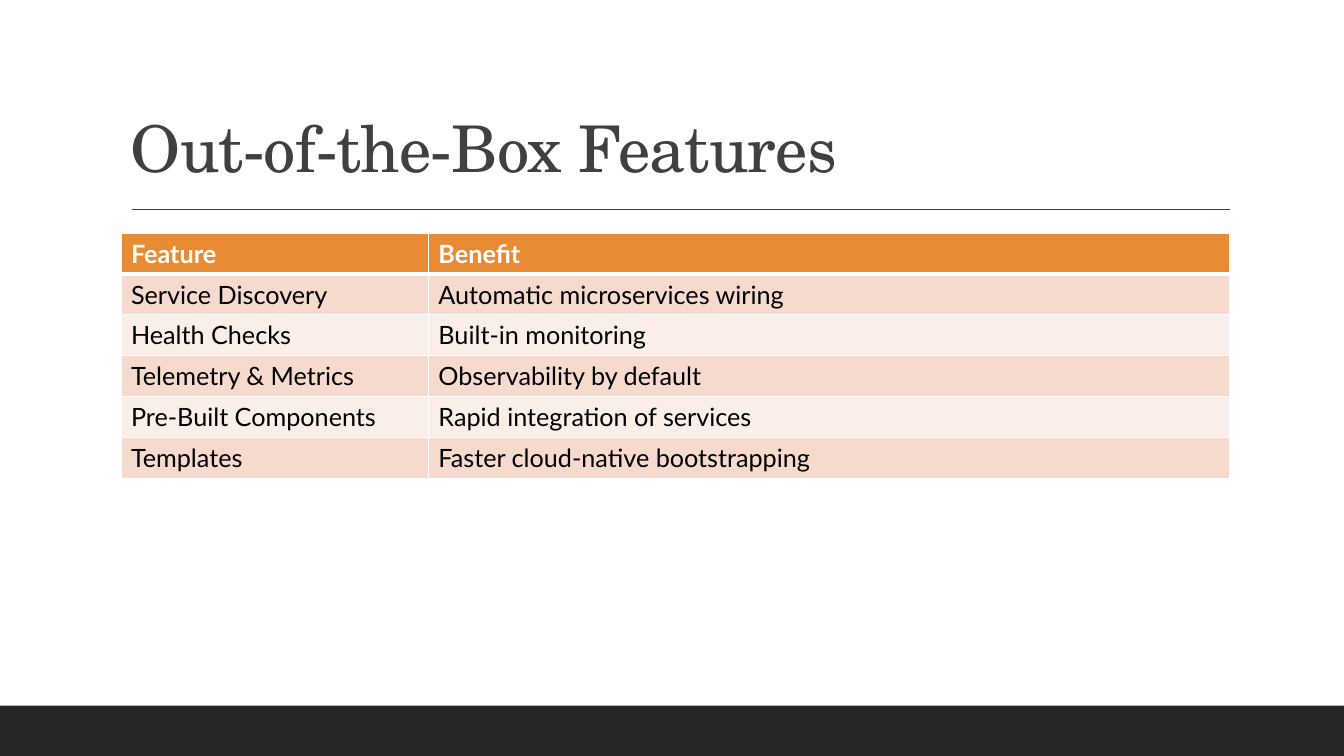
"""Build the Out-of-the-Box Features slide with its feature and benefit table."""
from lxml import etree
from pptx import Presentation
from pptx import util as u
from pptx.dml.color import RGBColor
from pptx.enum import shapes, text
from pptx.oxml import ns

COLORS = {
    "bar": "262626",
    "title": "404040",
    "header": "E88B33",
    "odd": "F6DACE",
    "even": "FBEEE8",
    "white": "FFFFFF",
    "black": "000000",
}
ROWS = [
    ("Feature", "Benefit"),
    ("Service Discovery", "Automatic microservices wiring"),
    ("Health Checks", "Built-in monitoring"),
    ("Telemetry & Metrics", "Observability by default"),
    ("Pre-Built Components", "Rapid integration of services"),
    ("Templates", "Faster cloud-native bootstrapping"),
]


def rgb(name):
    return RGBColor.from_string(COLORS[name])


def add_border(cell, side, width):
    ln = etree.SubElement(cell._tc.get_or_add_tcPr(), ns.qn(f"a:ln{side}"), w=str(u.Pt(width)))
    fill = etree.SubElement(ln, ns.qn("a:solidFill"))
    etree.SubElement(fill, ns.qn("a:srgbClr"), val=COLORS["white"])


prs = Presentation()
prs.slide_width, prs.slide_height = u.Pt(960), u.Pt(540)
s = prs.slides.add_slide(prs.slide_layouts[6])

bar = s.shapes.add_shape(shapes.MSO_SHAPE.RECTANGLE, 0, u.Pt(504), u.Pt(960), u.Pt(36))
bar.shadow.inherit = False
bar.fill.solid()
bar.fill.fore_color.rgb = rgb("bar")
bar.line.fill.background()

rule = s.shapes.add_connector(shapes.MSO_CONNECTOR.STRAIGHT, u.Pt(94.3), u.Pt(149.5), u.Pt(878.8), u.Pt(149.5))
rule.line.color.rgb = rgb("title")
rule.line.width = u.Pt(1)
etree.SubElement(rule._element.spPr, ns.qn("a:effectLst"))

title = s.shapes.add_textbox(u.Pt(86.4), u.Pt(22.5), u.Pt(792), u.Pt(114.5))
tf = title.text_frame
tf.word_wrap = True
tf.vertical_anchor = text.MSO_ANCHOR.BOTTOM
tf.text = "Out-of-the-Box Features"
p = tf.paragraphs[0]
p.line_spacing = 0.9
r = p.runs[0]
r.font.name = "TeX Gyre Schola"
r.font.size = u.Pt(46)
r.font.color.rgb = rgb("title")
r.font._element.set("spc", "-50")

row_height = 29.2
table = s.shapes.add_table(
    len(ROWS), 2, u.Pt(86.4), u.Pt(166.4), u.Pt(792), u.Pt(row_height * len(ROWS))
).table
for column, width in zip(table.columns, (219.6, 572.4)):
    column.width = u.Pt(width)

for i, row in enumerate(ROWS):
    table.rows[i].height = u.Pt(row_height)
    for j, wording in enumerate(row):
        cell = table.cell(i, j)
        cell.vertical_anchor = text.MSO_ANCHOR.MIDDLE
        for side in "LRTB":
            heavy = (i, side) in ((0, "B"), (1, "T"))
            add_border(cell, side, 3 if heavy else 1)
        cell.fill.solid()
        cell.fill.fore_color.rgb = rgb("header" if i == 0 else "odd" if i % 2 else "even")
        cell.text_frame.text = wording
        r = cell.text_frame.paragraphs[0].runs[0]
        r.font.name = "Lato"
        r.font.size = u.Pt(18)
        r.font.bold = i == 0
        r.font.color.rgb = rgb("black" if i else "white")

prs.save("out.pptx")
